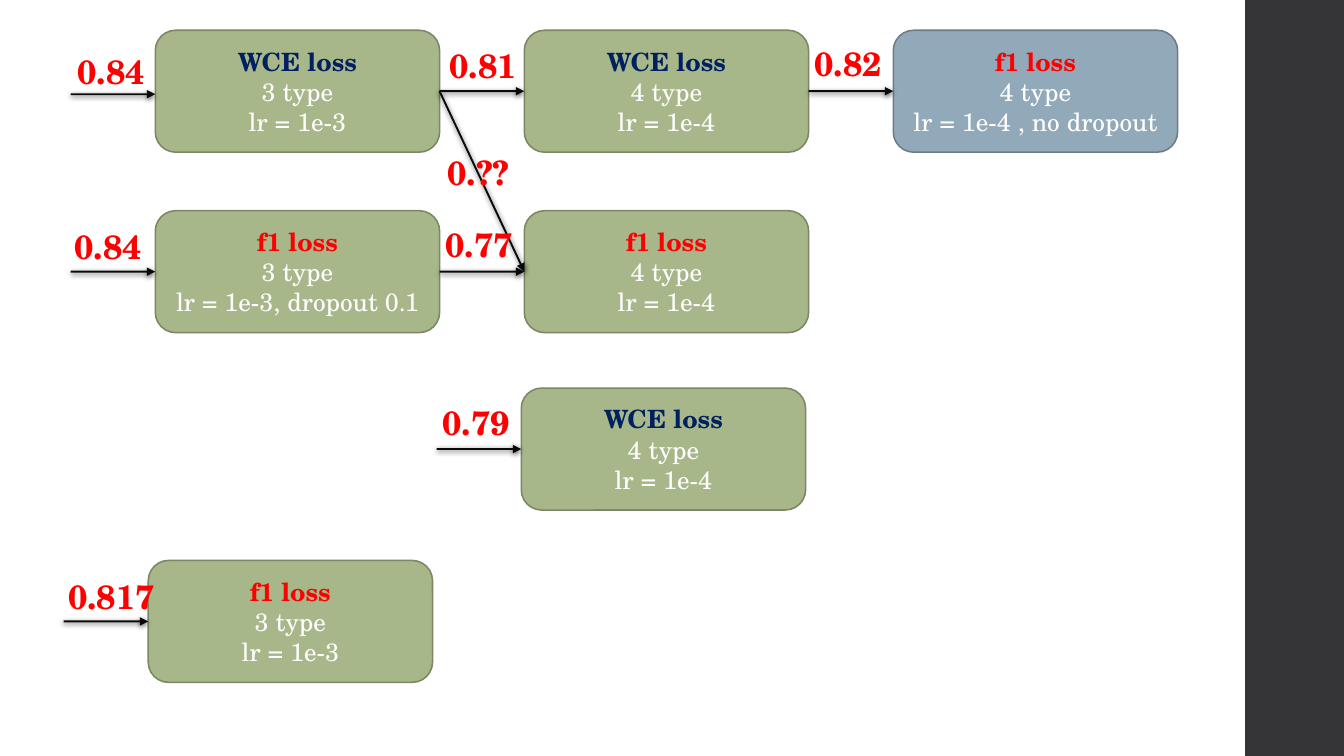
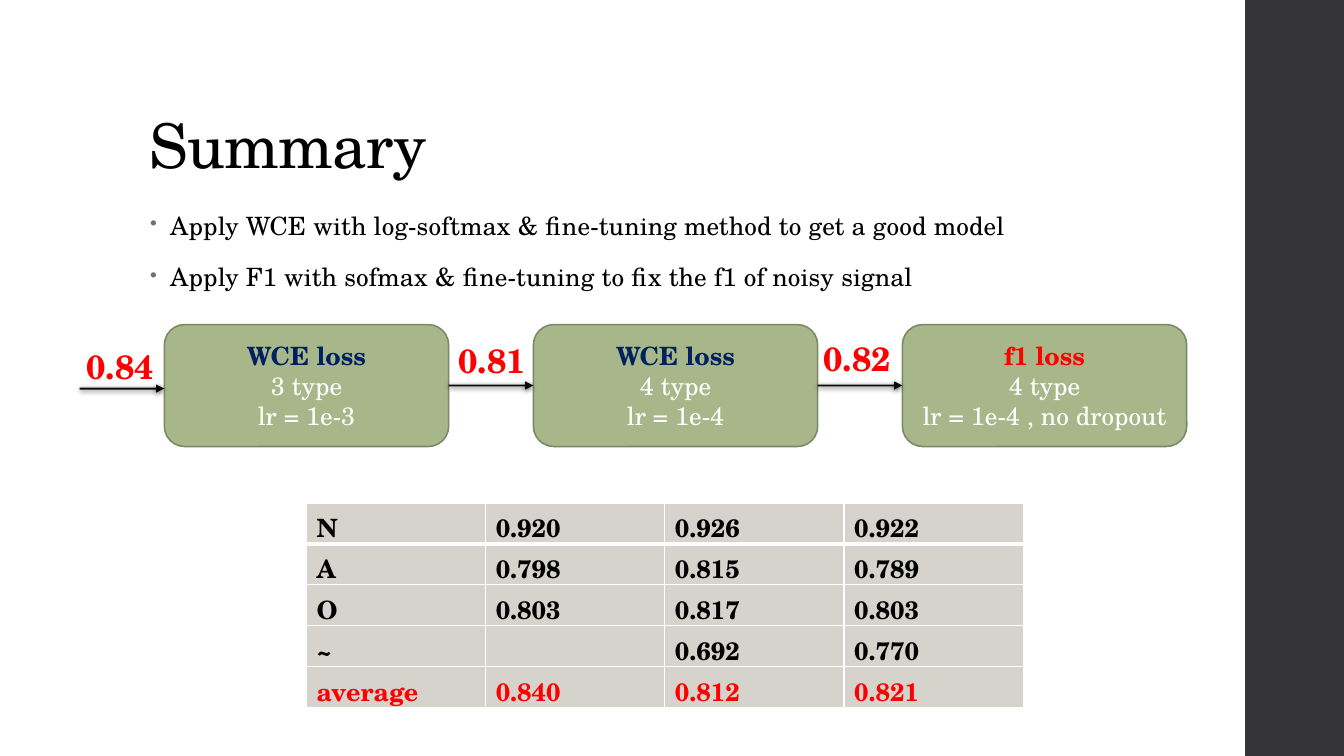
from dataclasses import dataclass

from lxml.etree import SubElement
from pptx import Presentation
from pptx.dml.color import RGBColor
from pptx.enum.shapes import MSO_CONNECTOR as Connector, MSO_SHAPE as Preset
from pptx.enum.text import MSO_ANCHOR as Anchor, MSO_AUTO_SIZE as AutoSize, PP_ALIGN as Align
from pptx.oxml.ns import qn
from pptx.util import Inches, Pt


@dataclass(frozen=True)
class Theme:
    font: str = "TeX Gyre Schola"
    ink: str = "000000"
    paper: str = "FFFFFF"
    band: str = "353537"
    red: str = "FF0000"
    navy: str = "002060"
    bullet: str = "6F6F74"
    cell: str = "D6D3CC"
    green: tuple = ("A7B789", "7C8765")
    blue: tuple = ("92A9B9", "6C7D89")
    title_size: int = 44
    score_size: int = 24
    body_size: int = 18


THEME = Theme()
LOSS_COLORS = {"WCE loss": THEME.navy, "f1 loss": THEME.red}
LEFT_SIDE, RIGHT_SIDE = 1, 3
BOX_WIDTH, BOX_HEIGHT = 2.82, 1.21
COLUMN_PITCH = 3.66
ENTRY_LENGTH = 0.84
CHAIN_STEPS = [
    ("WCE loss", "3 type", "lr = 1e-3"),
    ("WCE loss", "4 type", "lr = 1e-4"),
    ("f1 loss", "4 type", "lr = 1e-4 , no dropout"),
]
SCORES = [
    ("N", "0.920", "0.926", "0.922"),
    ("A", "0.798", "0.815", "0.789"),
    ("O", "0.803", "0.817", "0.803"),
    ("~", "", "0.692", "0.770"),
    ("average", "0.840", "0.812", "0.821"),
]


def rgb(value):
    return RGBColor.from_string(value)


def apply_format(target, values):
    for name, value in values.items():
        setattr(target, name, value)


def format_text(paragraph, size, color, bold=False):
    for run in paragraph.runs:
        apply_format(run.font, {"name": THEME.font, "size": Pt(size), "bold": bold})
        run.font.color.rgb = rgb(color)


def set_tracking(shape, hundredths):
    for properties in shape.element.iter(qn("a:rPr")):
        properties.set("spc", str(hundredths))


def add_filled_shape(slide, preset, box, fill):
    shape = slide.shapes.add_shape(preset, *map(Inches, box))
    shape.shadow.inherit = False
    shape.fill.solid()
    shape.fill.fore_color.rgb = rgb(fill)
    return shape


def add_master_band(presentation, slide):
    band = add_filled_shape(slide, Preset.RECTANGLE, (12.35, 0, 1, 7.5), THEME.band)
    band.line.fill.background()
    presentation.slide_master.shapes.element.append(band.element)


def add_step(slide, left, top, lines, colors=THEME.green):
    fill, outline = colors
    step = add_filled_shape(
        slide, Preset.ROUNDED_RECTANGLE, (left, top, BOX_WIDTH, BOX_HEIGHT), fill
    )
    step.line.color.rgb = rgb(outline)
    step.line.width = Pt(1.1)
    frame = step.text_frame
    apply_format(frame, {"word_wrap": True, "vertical_anchor": Anchor.MIDDLE})
    frame.text = "\n".join(lines)
    for paragraph in frame.paragraphs:
        paragraph.alignment = Align.CENTER
        color = LOSS_COLORS.get(paragraph.text)
        format_text(paragraph, THEME.body_size, color or THEME.paper, color is not None)
    return step


def add_arrow(slide, begin, end):
    arrow = slide.shapes.add_connector(Connector.STRAIGHT, *begin, *end)
    arrow.line.color.rgb = rgb(THEME.ink)
    arrow.line.width = Pt(1.35)
    properties = arrow.element.spPr
    line = properties.find(qn("a:ln"))
    SubElement(line.find(".//" + qn("a:srgbClr")), qn("a:alpha"), val="95000")
    SubElement(line, qn("a:tailEnd"), type="triangle")
    effects = SubElement(properties, qn("a:effectLst"))
    shadow = SubElement(
        effects, qn("a:outerShdw"), blurRad=str(Pt(4)), dist=str(Pt(1.2)), dir="5400000"
    )
    color = SubElement(shadow, qn("a:srgbClr"), val=THEME.ink)
    SubElement(color, qn("a:alpha"), val="75000")
    return arrow


def connect_steps(slide, source, target):
    begin = source.left + source.width, source.top + source.height // 2
    end = target.left, target.top + target.height // 2
    arrow = add_arrow(slide, begin, end)
    arrow.begin_connect(source, RIGHT_SIDE)
    arrow.end_connect(target, LEFT_SIDE)


def add_entry(slide, target, drop=0):
    height = target.top + target.height // 2 + Inches(drop)
    begin = target.left - Inches(ENTRY_LENGTH), height
    arrow = add_arrow(slide, begin, (target.left, height))
    if not drop:
        arrow.end_connect(target, LEFT_SIDE)


def add_score(slide, target, text, across, down):
    label = slide.shapes.add_textbox(
        target.left + Inches(across),
        target.top + Inches(down),
        Inches(0.07 + 0.2 * len(text)),
        Inches(0.5),
    )
    frame = label.text_frame
    frame.text = text
    apply_format(frame, {"word_wrap": False, "auto_size": AutoSize.SHAPE_TO_FIT_TEXT})
    format_text(frame.paragraphs[0], THEME.score_size, THEME.red, True)


def add_chain(slide, left, top, last_colors):
    palette = (THEME.green, THEME.green, last_colors)
    steps = [
        add_step(slide, left + column * COLUMN_PITCH, top, lines, colors)
        for column, (lines, colors) in enumerate(zip(CHAIN_STEPS, palette))
    ]
    add_entry(slide, steps[0], drop=0.03)
    for source, target in zip(steps, steps[1:]):
        connect_steps(slide, source, target)
    scores = [("0.84", -0.87, 0.16), ("0.81", -0.84, 0.1), ("0.82", -0.88, 0.08)]
    for step, score in zip(steps, scores):
        add_score(slide, step, *score)
    return steps


def add_title(slide, text):
    title = slide.shapes.title
    box = dict(zip(("left", "top", "width", "height"), map(Inches, (1.38, 0.4, 10.6, 1.45))))
    apply_format(title, box)
    frame = title.text_frame
    frame.text = text
    apply_format(
        frame,
        {"word_wrap": True, "vertical_anchor": Anchor.BOTTOM, "auto_size": AutoSize.NONE},
    )
    paragraph = frame.paragraphs[0]
    apply_format(paragraph, {"alignment": Align.LEFT, "line_spacing": 0.9})
    format_text(paragraph, THEME.title_size, THEME.ink)
    set_tracking(title, -50)


def add_bullets(slide, lines):
    body = slide.shapes.add_textbox(*map(Inches, (1.39, 2.06, 9.4, 4.76)))
    frame = body.text_frame
    frame.word_wrap = True
    frame.text = "\n".join(lines)
    for paragraph in frame.paragraphs:
        apply_format(
            paragraph,
            {"line_spacing": 0.95, "space_before": Pt(14), "space_after": Pt(2)},
        )
        format_text(paragraph, THEME.body_size, THEME.ink)
    for properties in body.element.iter(qn("a:pPr")):
        properties.set("marL", str(Inches(0.2)))
        properties.set("indent", str(Inches(-0.2)))
        color = SubElement(properties, qn("a:buClr"))
        SubElement(color, qn("a:srgbClr"), val=THEME.bullet)
        SubElement(properties, qn("a:buSzPct"), val="80000")
        SubElement(properties, qn("a:buChar"), char="•")
    set_tracking(body, 10)


def set_border(cell_properties, side, width):
    line = SubElement(cell_properties, qn(f"a:{side}"), w=str(Pt(width)))
    fill = SubElement(line, qn("a:solidFill"))
    SubElement(fill, qn("a:srgbClr"), val=THEME.paper)


def add_score_table(slide, rows):
    box = map(Inches, (3.04, 4.99, 7.11, 2.03))
    table = slide.shapes.add_table(len(rows), len(rows[0]), *box).table
    apply_format(table, {"first_row": False, "horz_banding": False})
    for row, values in enumerate(rows):
        top, bottom = 3 if row == 1 else 1, 3 if row == 0 else 1
        color = THEME.red if values[0] == "average" else THEME.ink
        for column, value in enumerate(values):
            cell = table.cell(row, column)
            cell.text = value
            format_text(cell.text_frame.paragraphs[0], THEME.body_size, color, True)
            cell.fill.background()
            properties = cell.fill and table.cell(row, column)
            properties.fill.solid()
            properties.fill.fore_color.rgb = rgb(THEME.cell)
    for index, properties in enumerate(slide.shapes[-1].element.iter(qn("a:tcPr"))):
        row = index // len(rows[0])
        fill = properties[0]
        top, bottom = 3 if row == 1 else 1, 3 if row == 0 else 1
        for side, width in (("lnL", 1), ("lnR", 1), ("lnT", top), ("lnB", bottom)):
            set_border(properties, side, width)
        properties.append(fill)


def build_experiments(slide):
    left = 1.54
    first, second, _ = add_chain(slide, left, 0.3, THEME.blue)
    f1_start = add_step(slide, left, 2.09, ("f1 loss", "3 type", "lr = 1e-3, dropout 0.1"))
    f1_next = add_step(slide, left + COLUMN_PITCH, 2.09, ("f1 loss", "4 type", "lr = 1e-4"))
    wce_alone = add_step(slide, 5.17, 3.85, CHAIN_STEPS[1])
    f1_alone = add_step(slide, 1.47, 5.56, ("f1 loss", "3 type", "lr = 1e-3"))
    for source in (first, f1_start):
        connect_steps(slide, source, f1_next)
    for target in (f1_start, wce_alone, f1_alone):
        add_entry(slide, target)
    for target, text, across, down in (
        (f1_start, "0.84", -0.9, 0.1),
        (f1_next, "0.??", -0.86, -0.63),
        (f1_next, "0.77", -0.88, 0.08),
        (wce_alone, "0.79", -0.88, 0.09),
        (f1_alone, "0.817", -0.89, 0.1),
    ):
        add_score(slide, target, text, across, down)


def build_summary(slide):
    add_title(slide, "Summary")
    add_bullets(
        slide,
        [
            "Apply WCE with log-softmax & fine-tuning method to get a good model",
            "Apply F1 with sofmax & fine-tuning to fix the f1 of noisy signal",
        ],
    )
    add_chain(slide, 1.63, 3.22, THEME.green)
    add_score_table(slide, SCORES)


def main():
    presentation = Presentation()
    apply_format(presentation, {"slide_width": Inches(13.33), "slide_height": Inches(7.5)})
    title_only, blank = presentation.slide_layouts[5], presentation.slide_layouts[6]
    experiments = presentation.slides.add_slide(blank)
    add_master_band(presentation, experiments)
    build_experiments(experiments)
    build_summary(presentation.slides.add_slide(title_only))
    presentation.save("out.pptx")


if __name__ == "__main__":
    main()
